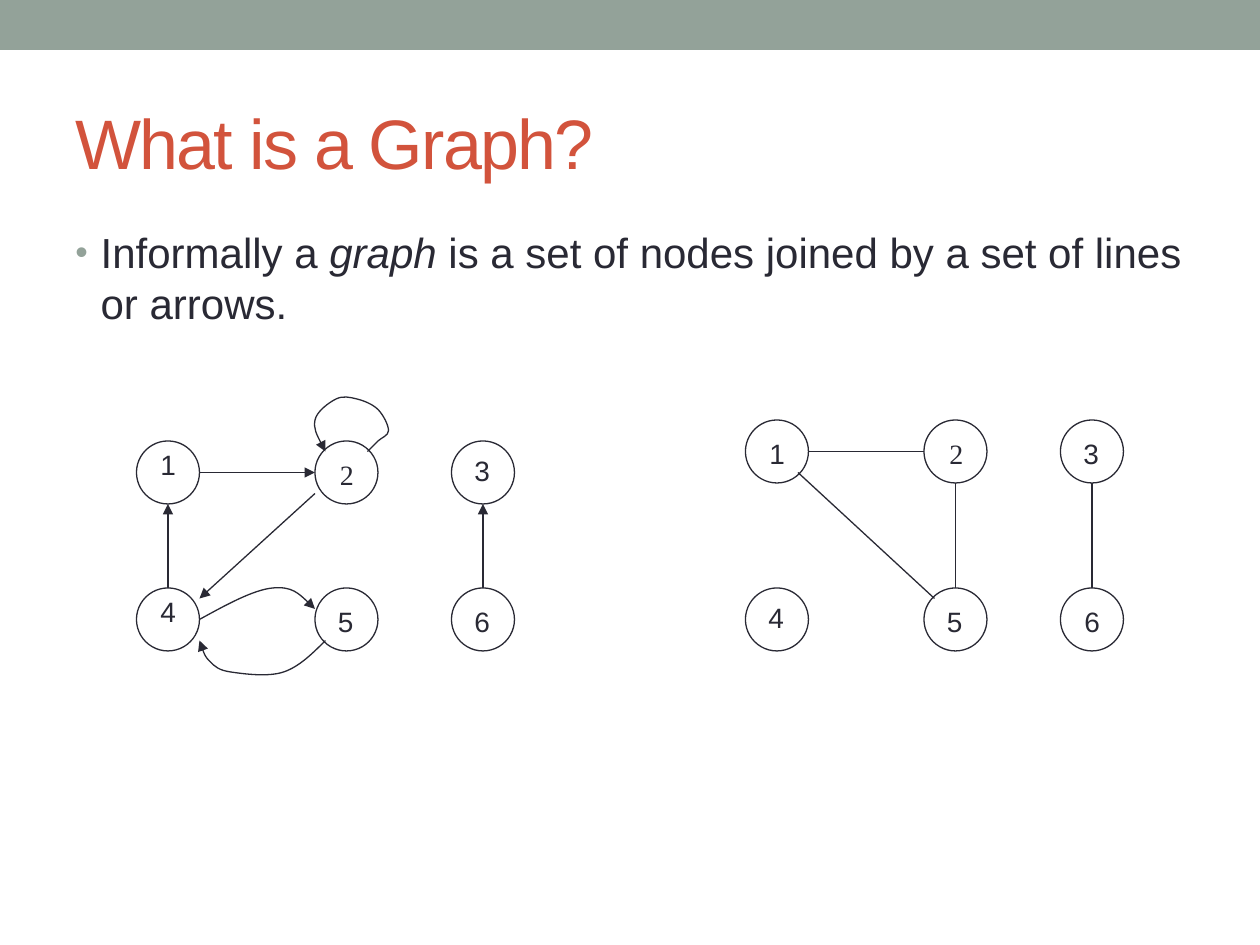
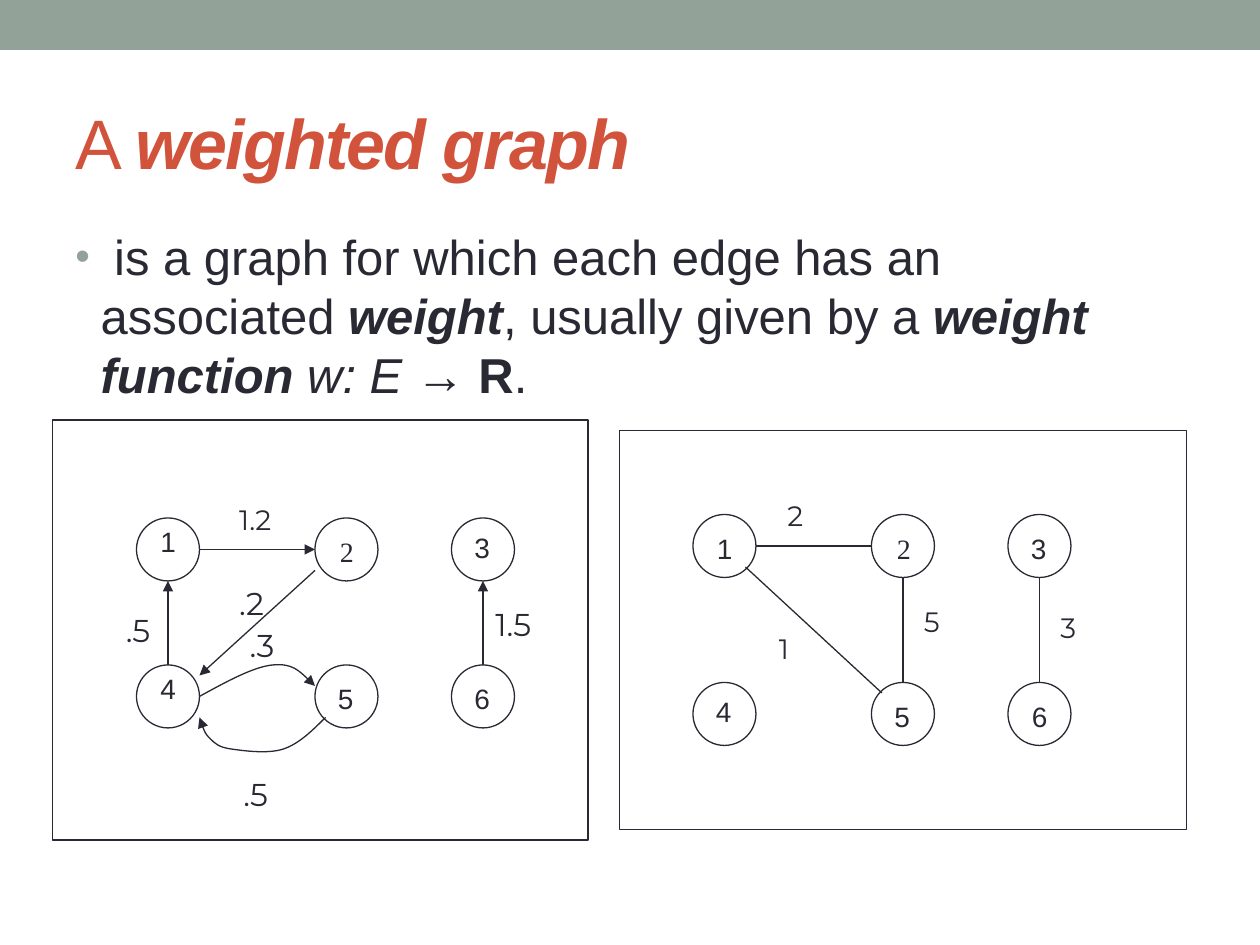
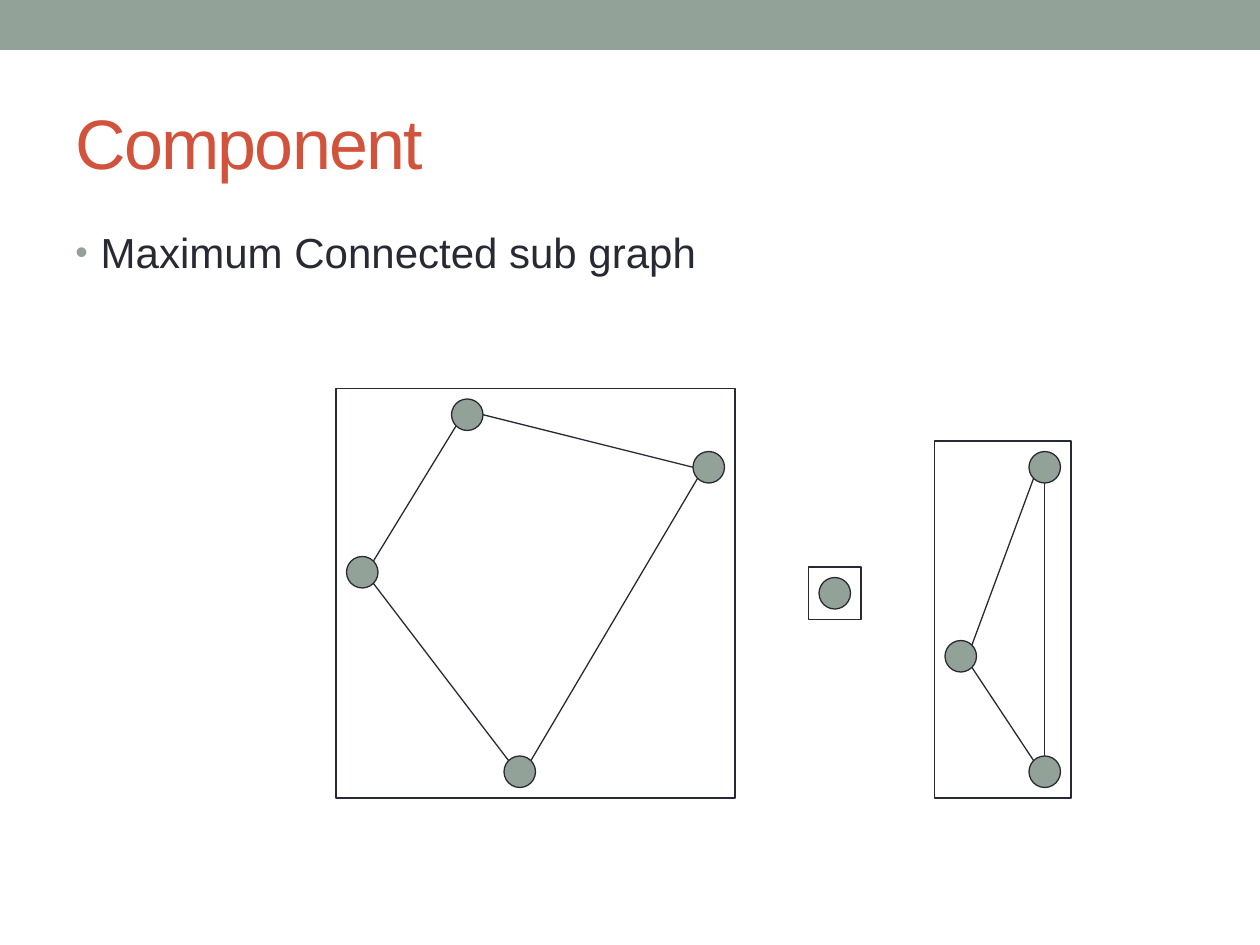
import pptx
import pptx.util
import pptx.dml.color
import pptx.enum.shapes
import pptx.enum.text
from lxml import etree

COLORS = {"band": "93A299", "title": "D2533C", "ink": "292934"}
SANS, SERIF, WEIGHT_FONT = "Arial", "Times New Roman", "Montserrat"
GRID_COLUMNS, GRID_ROWS = 120, 90
SLIDE_WIDTH_CM = 25.4
BAND = (0, 0, GRID_COLUMNS, 4.76)
TITLE = (6, 7, 108, 13)
BODY = (6, 21, 108, 64)
NODE, DOT = 6, 3
COLUMN_STARTS = (0, 17, 30)

DIRECTED = {
    "row_gap": 14,
    "label_shifts": [(1.1, 0), (1.2, 1), (1, 0.6), (1.1, 0), (1, 1), (1, 1)],
    "edges": [((3, 14), (3, 6)), ((6, 3), (17, 3)), ((17, 5), (6, 15)), ((33, 14), (33, 6))],
    "arrow": True,
}
LOOP_AT_2 = [(22, 1), (23, 0), (24, -1), (23, -3), (21, -4), (19, -4), (17, -2), (18, 1)]
CURVES_4_5 = [
    [(6, 17), (13, 14), (17, 16)],
    [(18, 19), (14, 22), (9, 22), (7, 21), (6, 19)],
]
UNDIRECTED = {
    "row_gap": 16,
    "label_shifts": [(1.1, 1), (1.25, 1), (1, 1), (1, 0.6), (1, 1), (1.1, 1)],
    "edges": [((5, 5), (18, 17)), ((6, 3), (17, 3)), ((20, 16), (20, 6)), ((33, 16), (33, 6))],
    "arrow": False,
}

SLIDES = [
    {
        "title": [("What is a Graph?", "")],
        "size": 24,
        "body": [
            ("Informally a ", ""), ("graph", "i"),
            (" is a set of nodes joined by a set of lines or arrows.", ""),
        ],
        "graphs": [
            (DIRECTED, (13, 42), [LOOP_AT_2] + CURVES_4_5),
            (UNDIRECTED, (71, 40), []),
        ],
    },
    {
        "title": [("A ", ""), ("weighted graph", "bi")],
        "size": 28,
        "body": [
            (" is a graph for which each edge has an associated ", ""), ("weight", "bi"),
            (", usually given by a ", ""), ("weight function ", "bi"), ("w: E ", "i"),
            ("→ ", ""), ("R", "b"), (".", ""),
        ],
        "graphs": [
            (DIRECTED, (13, 49.33), CURVES_4_5),
            (UNDIRECTED, (66, 49), []),
        ],
        "weights": [
            (".5", 18, 10.8, 57.6, 5.4), ("1.2", 16, 21.6, 47.3, 6.8),
            (".2", 18, 21.6, 55, 5.4), (".5", 18, 22, 73.2, 5.4),
            ("1.5", 18, 46, 57, 7.4), (".3", 18, 22.6, 59, 5.4),
            ("2", 16, 73.8, 46.9, 4.2), ("1", 16, 73, 59.6, 4.2),
            ("3", 16, 99.8, 57.6, 4.2), ("5", 16, 86.8, 57, 4.2),
        ],
        "frames": [(59, 41, 54, 38), (5, 40, 51, 40)],
    },
    {
        "title": [("Component", "")],
        "size": 24,
        "body": [("Maximum Connected sub graph", "")],
        "dots": {
            "left": (33, 53), "top": (43, 38), "bottom": (48, 72), "right": (66, 43),
            "alone": (78, 55),
            "upper": (98, 43), "lower": (98, 72), "middle": (90, 61),
        },
        "links": [
            ("left", "ne", "top", "sw"), ("top", "e", "right", "w"),
            ("left", "se", "bottom", "nw"), ("bottom", "ne", "right", "sw"),
            ("upper", "sw", "middle", "ne"), ("upper", "s", "lower", "n"),
            ("middle", "se", "lower", "nw"),
        ],
        "frames": [(32, 37, 38, 39), (89, 42, 13, 34), (77, 54, 5, 5)],
    },
]


def grid(*counts):
    return [pptx.util.Cm(count * SLIDE_WIDTH_CM / GRID_COLUMNS) for count in counts]


def rgb(name):
    return pptx.dml.color.RGBColor.from_string(COLORS[name])


def add_xml(parent, tag, **attributes):
    return etree.SubElement(parent, pptx.oxml.ns.qn(tag), **attributes)


def ink_line(drawn, arrow=False):
    drawn.line.color.rgb = rgb("ink")
    drawn.line.width = pptx.util.Pt(0.75)
    if arrow:
        add_xml(drawn.line._get_or_add_ln(), "a:tailEnd", type="triangle")


def add_outline(slide, kind, box, fill=None, line=True):
    outline = slide.shapes.add_shape(kind, *grid(*box))
    outline.shadow.inherit = False
    if fill:
        outline.fill.solid()
        outline.fill.fore_color.rgb = rgb(fill)
    else:
        outline.fill.background()
    if line:
        ink_line(outline)
    else:
        outline.line.fill.background()


def add_circle(slide, left, top, diameter, fill=None):
    oval = pptx.enum.shapes.MSO_SHAPE.OVAL
    add_outline(slide, oval, (left, top, diameter, diameter), fill)


def add_edge(slide, start, end, arrow=False):
    straight = pptx.enum.shapes.MSO_CONNECTOR.STRAIGHT
    edge = slide.shapes.add_connector(straight, *grid(*start, *end))
    ink_line(edge, arrow)
    add_xml(edge._element.spPr, "a:effectLst")


def bezier_points(knots):
    slopes = [
        tuple((after - before) / 6 for before, after in zip(knots[i - 1], knots[i + 1]))
        for i in range(1, len(knots) - 1)
    ]
    leaving = [tuple(k + s for k, s in zip(*pair)) for pair in zip(knots[1:-1], slopes)]
    arriving = [tuple(k - s for k, s in zip(*pair)) for pair in zip(knots[1:-1], slopes)]
    leaving.insert(0, tuple((a + b) / 2 for a, b in zip(knots[0], arriving[0])))
    arriving.append(tuple((a + b) / 2 for a, b in zip(knots[-1], leaving[-1])))
    return [point for span in zip(leaving, arriving, knots[1:]) for point in span]


def add_curve(slide, knots):
    builder = slide.shapes.build_freeform(*grid(*knots[0]))
    builder.add_line_segments([grid(*point) for point in bezier_points(knots)], close=False)
    curve = builder.convert_to_shape()
    segments = list(curve._element.iter(pptx.oxml.ns.qn("a:lnTo")))
    outline = segments[0].getparent()
    for first in range(0, len(segments), 3):
        bezier = add_xml(outline, "a:cubicBezTo")
        for segment in segments[first:first + 3]:
            bezier.append(segment[0])
            outline.remove(segment)
    curve.shadow.inherit = False
    curve.fill.background()
    ink_line(curve, arrow=True)


def add_text(slide, box, runs, size, font, color="ink", wrap=True):
    frame = slide.shapes.add_textbox(*grid(*box)).text_frame
    frame.word_wrap = wrap
    if not wrap:
        frame.auto_size = pptx.enum.text.MSO_AUTO_SIZE.SHAPE_TO_FIT_TEXT
    for words, style in runs:
        run = frame.paragraphs[0].add_run()
        run.text = words
        run.font.size = pptx.util.Pt(size)
        run.font.name = font
        run.font.bold = "b" in style
        run.font.italic = "i" in style
        run.font.color.rgb = rgb(color)
    return frame


def add_title(slide, runs):
    frame = add_text(slide, TITLE, runs, 40, SANS, "title")
    frame.vertical_anchor = pptx.enum.text.MSO_ANCHOR.MIDDLE
    for run in frame.paragraphs[0].runs:
        run.font._element.set("spc", "-100")


def add_body(slide, runs, size):
    paragraph = add_text(slide, BODY, runs, size, SANS).paragraphs[0]
    paragraph.space_before = pptx.util.Pt(size * 0.2)
    indent = pptx.util.Cm(0.51)
    properties = paragraph._p.get_or_add_pPr()
    properties.set("marL", str(indent))
    properties.set("indent", str(-indent))
    add_xml(add_xml(properties, "a:buClr"), "a:srgbClr", val=COLORS["band"])
    add_xml(properties, "a:buSzPct", val="85000")
    add_xml(properties, "a:buFont", typeface=SANS)
    add_xml(properties, "a:buChar", char="•")


def add_graph(slide, graph, origin, curves):
    def place(point):
        return point[0] + origin[0], point[1] + origin[1]

    for index, (right, down) in enumerate(graph["label_shifts"]):
        row, column = divmod(index, len(COLUMN_STARTS))
        left, top = place((COLUMN_STARTS[column], row * graph["row_gap"]))
        add_circle(slide, left, top, NODE)
        number = str(index + 1)
        font = SERIF if number == "2" else SANS
        add_text(slide, (left + right, top + down, 3.8, 4.4), [(number, "")], 16, font, wrap=False)
    for start, end in graph["edges"]:
        add_edge(slide, place(start), place(end), graph["arrow"])
    for knots in curves:
        add_curve(slide, [place(knot) for knot in knots])


def rim(corner, side):
    right = ("e" in side) - ("w" in side)
    down = ("s" in side) - ("n" in side)
    reach = DOT / 2 / (right ** 2 + down ** 2) ** 0.5
    return corner[0] + DOT / 2 + right * reach, corner[1] + DOT / 2 + down * reach


def add_slide(deck, content):
    rectangle = pptx.enum.shapes.MSO_SHAPE.RECTANGLE
    slide = deck.slides.add_slide(deck.slide_layouts[6])
    add_outline(slide, rectangle, BAND, "band", line=False)
    add_title(slide, content["title"])
    add_body(slide, content["body"], content["size"])
    for graph, origin, curves in content.get("graphs", []):
        add_graph(slide, graph, origin, curves)
    for weight, size, left, top, width in content.get("weights", []):
        box = (left, top, width, size * 0.27)
        add_text(slide, box, [(weight, "")], size, WEIGHT_FONT, wrap=False)
    dots = content.get("dots", {})
    for left, top in dots.values():
        add_circle(slide, left, top, DOT, "band")
    for start, start_side, end, end_side in content.get("links", []):
        add_edge(slide, rim(dots[start], start_side), rim(dots[end], end_side))
    for frame in content.get("frames", []):
        add_outline(slide, rectangle, frame)


def main():
    deck = pptx.Presentation()
    deck.slide_width, deck.slide_height = grid(GRID_COLUMNS, GRID_ROWS)
    for content in SLIDES:
        add_slide(deck, content)
    deck.save("out.pptx")


if __name__ == "__main__":
    main()
